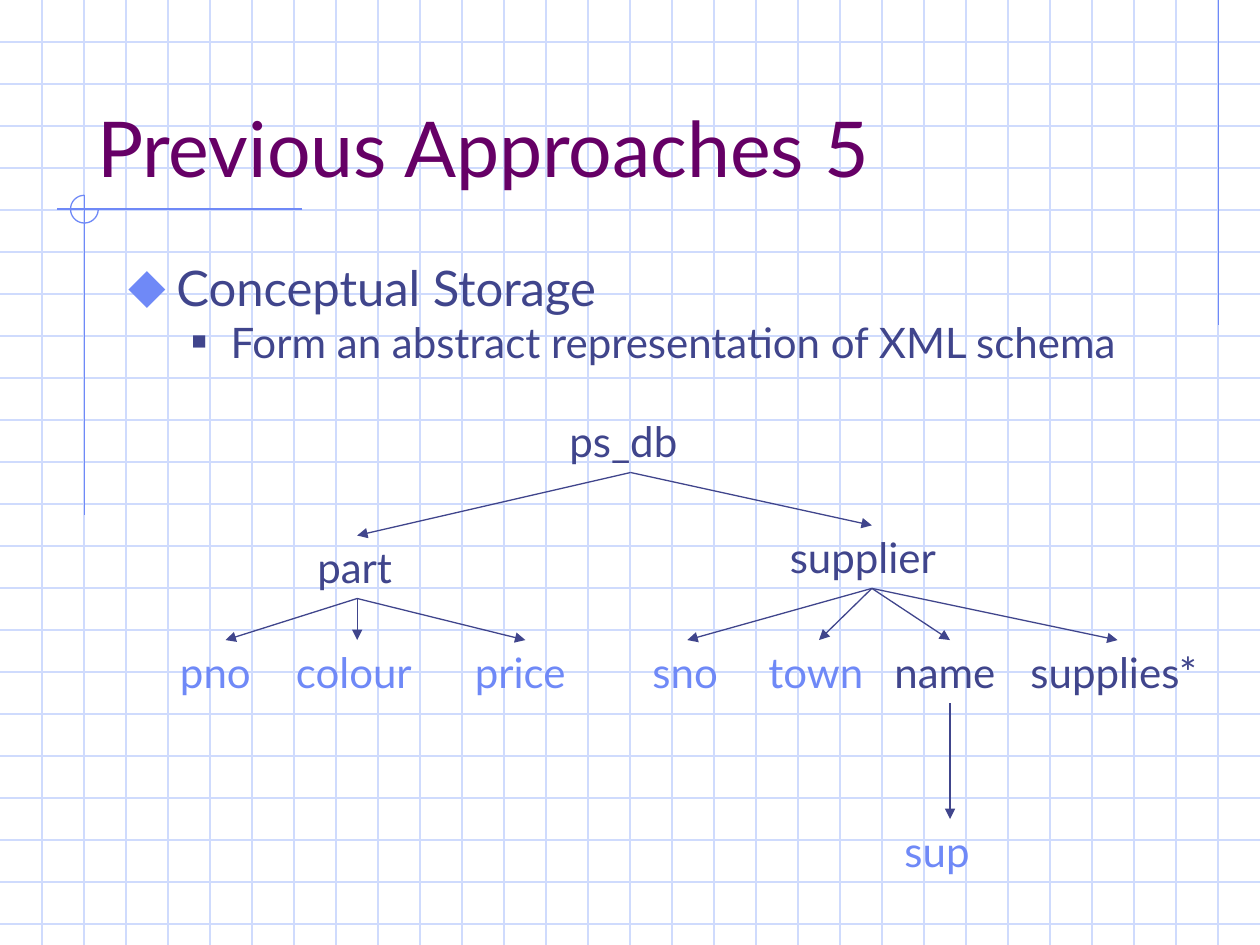
import math

import pptx
import pptx.dml.color
import pptx.enum.shapes
import pptx.enum.text
import pptx.oxml
import pptx.oxml.ns
import pptx.oxml.xmlchemy
import pptx.util

Inches = pptx.util.Inches
Pt = pptx.util.Pt
INK, BLUE, GRID, PLUM = "40458C", "6F89F7", "CFDBFD", "660066"

prs = pptx.Presentation()
prs.slide_width, prs.slide_height = Inches(10), Inches(7.5)
s = prs.slides.add_slide(prs.slide_layouts[1])


def rgb(color):
    return pptx.dml.color.RGBColor.from_string(color)


def add_line(x1, y1, x2, y2, color, arrow=False):
    line = s.shapes.add_connector(
        pptx.enum.shapes.MSO_CONNECTOR.STRAIGHT,
        Inches(x1), Inches(y1), Inches(x2), Inches(y2))
    line.line.color.rgb = rgb(color)
    line.line.width = Pt(0.75)
    if arrow:
        tail = pptx.oxml.xmlchemy.OxmlElement("a:tailEnd")
        tail.set("type", "triangle")
        line.line._get_or_add_ln().append(tail)
    line._element.spPr.append(pptx.oxml.xmlchemy.OxmlElement("a:effectLst"))


# Background grid, three lines to the inch
for i in range(1, 23):
    add_line(0, i / 3, 10, i / 3, GRID)
for i in range(1, 30):
    add_line(i / 3, 0, i / 3, 7.5, GRID)

# Accent lines and the three-quarter ring where they cross
add_line(9.67, 0, 9.67, 2.58, BLUE)
add_line(2.4, 1.66, 0.45, 1.66, BLUE)
add_line(0.67, 1.55, 0.67, 4.09, BLUE)
ring = [(Inches(0.67 + 0.11 * math.cos(math.radians(a))),
         Inches(1.66 + 0.11 * math.sin(math.radians(a))))
        for a in range(0, 271, 10)]
builder = s.shapes.build_freeform(*ring[0])
builder.add_line_segments(ring[1:], close=False)
sp = builder.convert_to_shape()
sp.shadow.inherit = False
sp.fill.background()
sp.line.color.rgb = rgb(BLUE)
sp.line.width = Pt(0.75)

# Title and body placeholders, brought in front of the grid
title, body = s.shapes.title, s.placeholders[1]
for sp, box in ((body, (0.92, 2.08, 8.5, 4.5)), (title, (0.67, 0.33, 8.5, 1.25))):
    s.shapes._spTree.append(sp._element)
    sp.left, sp.top, sp.width, sp.height = map(Inches, box)
    sp.text_frame.auto_size = pptx.enum.text.MSO_AUTO_SIZE.NONE

# Title
tf = title.text_frame
tf.vertical_anchor = pptx.enum.text.MSO_ANCHOR.BOTTOM
p = tf.paragraphs[0]
p.alignment = pptx.enum.text.PP_ALIGN.LEFT
r = p.add_run()
r.text = "Previous Approaches 5"
r.font.name, r.font.size = "Lato", Pt(44)
r.font.color.rgb = rgb(PLUM)

# Bulleted list: text, size, space before, margin, hang, bullet, its colour and percent
items = [
    ("Conceptual Storage", 28, 0, 0.38, 0.38, "⬥", BLUE, 110),
    ("Form an abstract representation of XML schema", 24, 6, 0.81, 0.31, "■", INK, 60),
]
tf = body.text_frame
for level, (text, size, before, margin, hang, char, color, percent) in enumerate(items):
    p = tf.add_paragraph() if level else tf.paragraphs[0]
    p.level = level
    p.line_spacing = 0.8
    p.space_before = Pt(before)
    pPr = p._p.get_or_add_pPr()
    pPr.set("marL", str(Inches(margin)))
    pPr.set("indent", str(-Inches(hang)))
    ns = pptx.oxml.ns.nsdecls("a")
    for xml in (f'<a:buClr {ns}><a:srgbClr val="{color}"/></a:buClr>',
                f'<a:buSzPct {ns} val="{percent * 1000}"/>',
                f'<a:buChar {ns} char="{char}"/>'):
        pPr.append(pptx.oxml.parse_xml(xml))
    r = p.add_run()
    r.text = text
    r.font.name, r.font.size = "Lato", Pt(size)
    r.font.color.rgb = rgb(INK)

# Schema tree: label, left, top, width, colour, parent
nodes = [
    ("ps_db", 4.42, 3.25, 1.17, INK, None),
    ("part", 2.42, 4.25, 0.83, INK, "ps_db"),
    ("supplier", 6.17, 4.17, 1.5, INK, "ps_db"),
    ("pno", 1.33, 5.08, 0.92, BLUE, "part"),
    ("colour", 2.25, 5.08, 1.17, BLUE, "part"),
    ("price", 3.67, 5.08, 1, BLUE, "part"),
    ("sno", 5.08, 5.08, 0.75, BLUE, "supplier"),
    ("town", 6, 5.08, 1, BLUE, "supplier"),
    ("name", 7, 5.08, 1.08, INK, "supplier"),
    ("supplies*", 8.08, 5.08, 1.58, INK, "supplier"),
    ("sup", 7.08, 6.5, 0.92, BLUE, "name"),
]
height = 0.5
bottoms = {}
for label, left, top, width, color, parent in nodes:
    sp = s.shapes.add_textbox(Inches(left), Inches(top), Inches(width), Inches(height))
    tf = sp.text_frame
    tf.word_wrap = True
    tf.auto_size = pptx.enum.text.MSO_AUTO_SIZE.SHAPE_TO_FIT_TEXT
    r = tf.paragraphs[0].add_run()
    r.text = label
    r.font.name, r.font.size = "Lato", Pt(24)
    r.font.color.rgb = rgb(color)

    # Arrow from the parent's bottom centre to this node's top centre
    center = left + width / 2
    bottoms[label] = (center, top + height)
    if parent:
        add_line(*bottoms[parent], center, top, INK, arrow=True)

prs.save("out.pptx")
